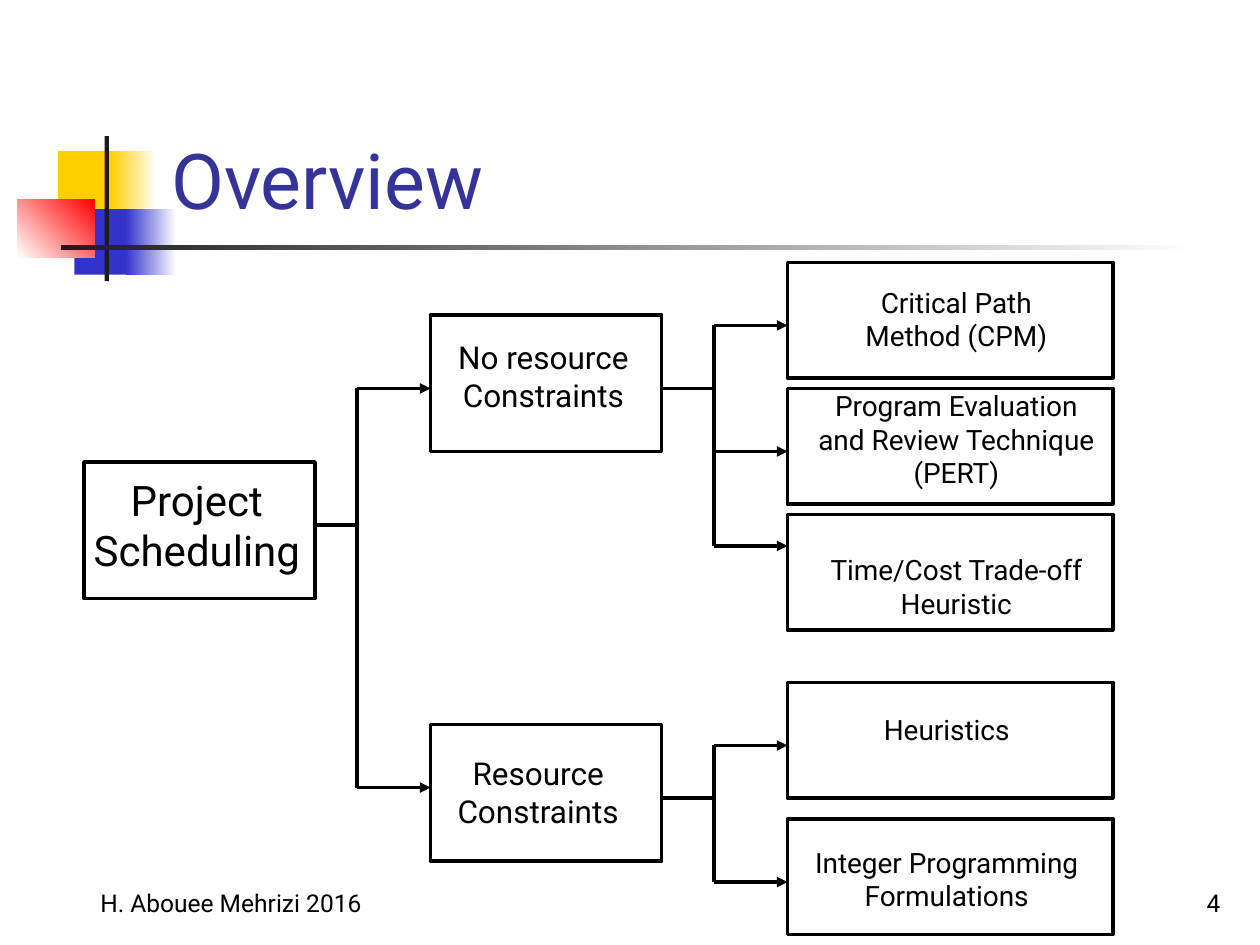
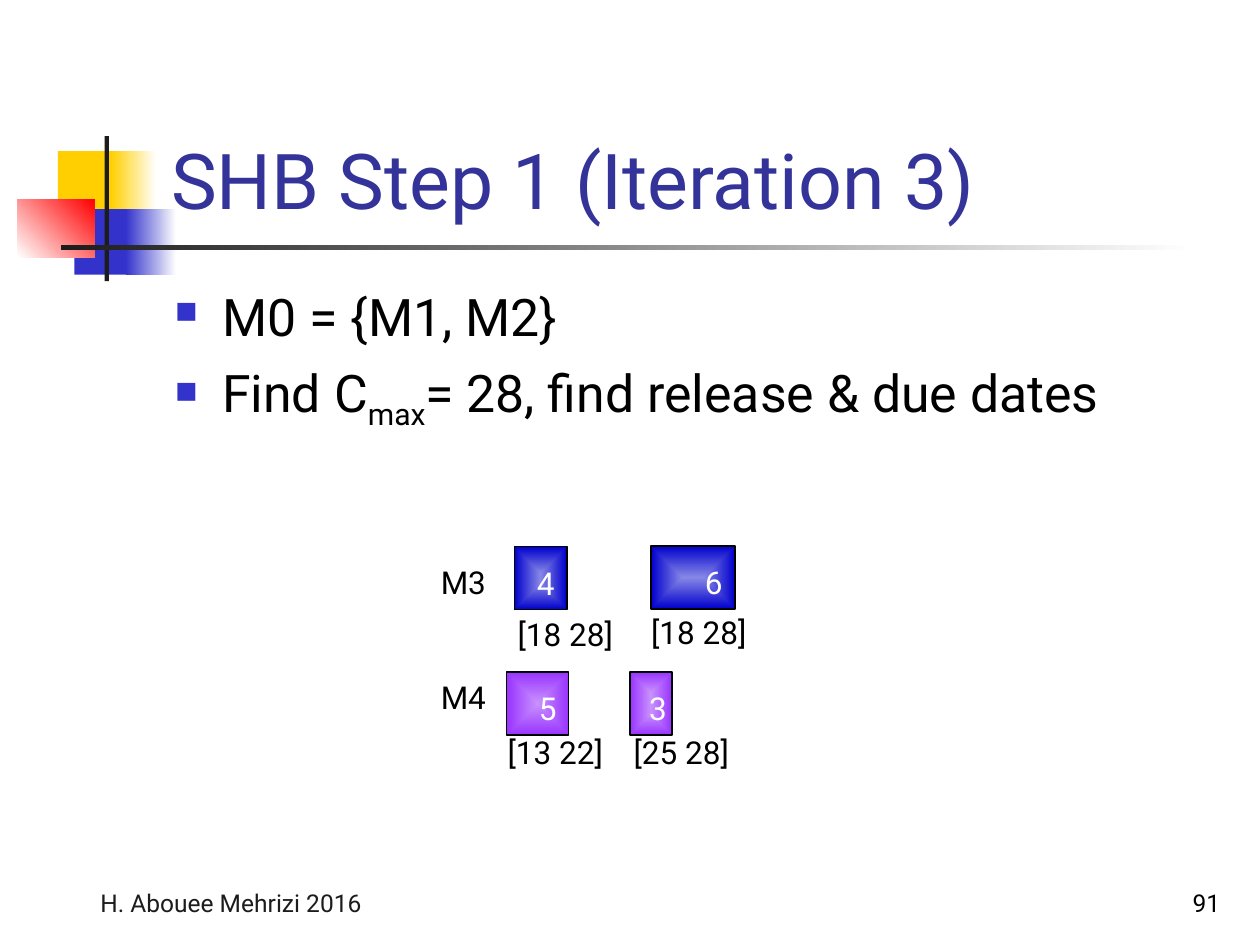
from dataclasses import dataclass

from lxml import etree
from pptx import Presentation
from pptx.dml.color import RGBColor
from pptx.enum.shapes import MSO_CONNECTOR, MSO_SHAPE
from pptx.enum.text import MSO_ANCHOR, PP_ALIGN
from pptx.oxml.ns import qn
from pptx.util import Pt

RECTANGLE = MSO_SHAPE.RECTANGLE
STRAIGHT = MSO_CONNECTOR.STRAIGHT
TOP, BOTTOM = MSO_ANCHOR.TOP, MSO_ANCHOR.BOTTOM
LEFT, CENTER, RIGHT = PP_ALIGN.LEFT, PP_ALIGN.CENTER, PP_ALIGN.RIGHT


@dataclass(frozen=True)
class Theme:
    """Hold the font, colours and type sizes of the deck."""

    font: str = "Roboto"
    ink: str = "000000"
    charcoal: str = "1C1C1C"
    white: str = "FFFFFF"
    title: str = "333399"
    yellow: str = "FFCF01"
    blue: str = "3333CC"
    red: str = "FF0000"
    machine_3: tuple = ("8787E7", "0000CC")
    machine_4: tuple = ("C891FF", "9933FF")
    title_size: float = 44
    body_size: float = 29.6
    root_size: float = 24
    label_size: float = 18
    leaf_size: float = 16
    footer_size: float = 14


THEME = Theme()


def add_child(parent, tag, **attributes):
    """Append a DrawingML element and return it."""
    child = etree.SubElement(parent, qn(tag))
    for name, value in attributes.items():
        child.set(name, str(value))
    return child


def add_span(para, text, size, color, baseline=0):
    """Add one formatted run."""
    span = para.add_run()
    span.text = text
    span.font.name = THEME.font
    span.font.size = Pt(size)
    span.font.color.rgb = RGBColor.from_string(color)
    if baseline:
        span.font._element.set("baseline", str(baseline))


def write_lines(frame, lines, size, color=THEME.ink, align=LEFT, anchor=TOP,
                insets=(7.2, 3.6, 7.2, 3.6)):
    """Fill a text frame with one paragraph for each line."""
    frame.word_wrap = True
    frame.vertical_anchor = anchor
    (frame.margin_left, frame.margin_top,
     frame.margin_right, frame.margin_bottom) = map(Pt, insets)
    for index, line in enumerate(lines):
        para = frame.add_paragraph() if index else frame.paragraphs[0]
        para.alignment = align
        add_span(para, line, size, color)


def add_label(page, bounds, text, size, **style):
    """Add a one-paragraph text box."""
    box = page.shapes.add_textbox(*map(Pt, bounds))
    write_lines(box.text_frame, [text], size, **style)


def add_box(page, bounds, line_width=0):
    """Add a rectangle with no fill and an optional black outline."""
    box = page.shapes.add_shape(RECTANGLE, *map(Pt, bounds))
    box.shadow.inherit = False
    box.fill.background()
    if line_width:
        box.line.width = Pt(line_width)
        box.line.color.rgb = RGBColor.from_string(THEME.ink)
    else:
        box.line.fill.background()
    return box


def fill_gradient(box, colors, angle=0):
    """Fill a box with a two-colour linear gradient."""
    box.fill.gradient()
    box.fill.gradient_angle = angle
    for stop, color in zip(box.fill.gradient_stops, colors):
        stop.color.rgb = RGBColor.from_string(color)


def fill_glow(box, colors):
    """Fill a box with a gradient that spreads from its centre."""
    fill_gradient(box, colors)
    gradient = box.element.spPr.find(qn("a:gradFill"))
    gradient.remove(gradient.find(qn("a:lin")))
    glow = add_child(gradient, "a:path", path="rect")
    add_child(glow, "a:fillToRect", l=50000, t=50000, r=50000, b=50000)


def add_backdrop(page):
    """Draw the coloured tiles and the two rules beside the title."""
    tiles = [
        ((33.1, 86.4, 34.6, 37.4), (THEME.yellow,), 0),
        ((63.4, 86.4, 25.9, 37.4), (THEME.yellow, THEME.white), 0),
        ((42.5, 119.5, 33.1, 37.4), (THEME.blue,), 0),
        ((72, 119.5, 28.8, 37.4), (THEME.blue, THEME.white), 0),
        ((10.1, 113.8, 43.9, 33.1), (THEME.white, THEME.red), 45),
        ((59.8, 77.8, 2.4, 82.8), (THEME.charcoal,), 0),
        ((34.6, 140.2, 648, 2.4), (THEME.charcoal, THEME.white), 0),
    ]
    for bounds, colors, angle in tiles:
        tile = add_box(page, bounds)
        if len(colors) == 2:
            fill_gradient(tile, colors, angle)
        else:
            tile.fill.solid()
            tile.fill.fore_color.rgb = RGBColor.from_string(colors[0])


def add_page(deck, title, number, footer_color):
    """Add a blank page with backdrop, footer, number and title."""
    page = deck.slides.add_slide(deck.slide_layouts[6])
    add_backdrop(page)
    add_label(page, (18, 492, 228, 36), "H. Abouee Mehrizi 2016",
              THEME.footer_size, color=footer_color, align=CENTER, anchor=BOTTOM)
    add_label(page, (554.4, 492, 150, 36), number,
              THEME.footer_size, align=RIGHT, anchor=BOTTOM)
    add_label(page, (90.7, 16.6, 613.4, 115.2), title,
              THEME.title_size, color=THEME.title, anchor=BOTTOM)
    return page


def add_node(page, bounds, lines, size, drop, shift=0):
    """Add an outlined node, its text lowered by drop and moved by shift."""
    node = add_box(page, bounds, 2)
    insets = (max(2 * shift, 0), drop, max(-2 * shift, 0), 0)
    write_lines(node.text_frame, lines, size, align=CENTER, insets=insets)


def add_link(page, start, end, arrow=False):
    """Draw a straight line, with an arrowhead at its end if asked."""
    link = page.shapes.add_connector(STRAIGHT, *map(Pt, (*start, *end)))
    link.line.width = Pt(2)
    link.line.color.rgb = RGBColor.from_string(THEME.ink)
    if arrow:
        add_child(link.line._get_or_add_ln(), "a:tailEnd", type="triangle")
    add_child(link.element.spPr, "a:effectLst")


def add_branch(page, start, spine, right, tips):
    """Join one node to several through a vertical spine."""
    add_link(page, start, (spine, start[1]))
    add_link(page, (spine, tips[0]), (spine, tips[-1]))
    for tip in tips:
        add_link(page, (spine, tip), (right, tip), arrow=True)


def add_bullets(page, bounds, items):
    """Add a bulleted list; each item is a list of (text, baseline) spans."""
    frame = page.shapes.add_textbox(*map(Pt, bounds)).text_frame
    frame.word_wrap = True
    for index, spans in enumerate(items):
        para = frame.add_paragraph() if index else frame.paragraphs[0]
        properties = para._p.get_or_add_pPr()
        properties.set("marL", str(Pt(27)))
        properties.set("indent", str(-Pt(27)))
        tint = add_child(properties, "a:buClr")
        add_child(tint, "a:srgbClr", val=THEME.blue)
        add_child(properties, "a:buSzPct", val=60000)
        add_child(properties, "a:buChar", char="■")
        if index:
            para.space_before = Pt(8)
        for text, baseline in spans:
            add_span(para, text, THEME.body_size, THEME.ink, baseline)


def add_job(page, bounds, colors, number, right_inset=7.2):
    """Add a glowing job block with its number near the right edge."""
    job = add_box(page, bounds, 0.75)
    fill_glow(job, colors)
    write_lines(job.text_frame, [number], THEME.label_size, color=THEME.white,
                align=RIGHT, insets=(0, 10, right_inset, 0))


def build_overview(deck):
    """Build the tree of project scheduling methods."""
    page = add_page(deck, "Overview", "4", THEME.ink)
    root_left, middle_left, leaf_left = 48, 246, 450
    width, height = 132, 78
    add_node(page, (root_left, 264, width, height), ["Project", "Scheduling"],
             THEME.root_size, 7, -1.5)
    middles = [
        (180, ["No resource", "Constraints"], 13, -1.5),
        (414, ["Resource", "Constraints"], 17, -4.5),
    ]
    for top, lines, drop, shift in middles:
        add_node(page, (middle_left, top, width, height), lines,
                 THEME.label_size, drop, shift)
    leaves = [
        (150, ["Critical Path", "Method (CPM)"], 13, 3.5),
        (222, ["Program Evaluation", "and Review Technique", "(PERT)"], 0, 3.5),
        (294, ["Time/Cost Trade-off Heuristic"], 22, 3.5),
        (390, ["Heuristics"], 17, -2),
        (468, ["Integer Programming", "Formulations"], 15, -2),
    ]
    for top, lines, drop, shift in leaves:
        add_node(page, (leaf_left, top, 186, 66), lines,
                 THEME.leaf_size, drop, shift)
    add_branch(page, (root_left + width, 300), 204, middle_left, [222, 450])
    middle_right = middle_left + width
    add_branch(page, (middle_right, 222), 408, leaf_left, [186, 258, 312])
    add_branch(page, (middle_right, 456), 408, leaf_left, [426, 504])


def build_iteration(deck):
    """Build the release and due date page of the third iteration."""
    page = add_page(deck, "SHB Step 1 (Iteration 3)", "91", THEME.charcoal)
    add_bullets(page, (92.9, 159.1, 612, 92.9), [
        [("M0 = {M1, M2}", 0)],
        [("Find C", 0), ("max", -25000), ("= 28, find release & due dates", 0)],
    ])
    jobs = [
        ((293.8, 312.5, 30.2, 36), THEME.machine_3, "4", 7.2),
        ((372, 312, 48, 36), THEME.machine_3, "6", 7.2),
        ((289.5, 384, 35.6, 36), THEME.machine_4, "5", 7.2),
        ((360, 384, 24, 36), THEME.machine_4, "3", 3),
    ]
    for job in jobs:
        add_job(page, *job)
    labels = [
        (244.8, 318.2, 44, "M3"),
        (288.7, 347.8, 72, "[18 28]"),
        (365, 347, 72, "[18 28]"),
        (244.8, 383.8, 44, "M4"),
        (283, 415.4, 72, "[13 22]"),
        (355, 415.4, 72, "[25 28]"),
    ]
    for left, top, width, text in labels:
        add_label(page, (left, top, width, 28.8), text, THEME.label_size)


def main():
    """Build and save the deck."""
    deck = Presentation()
    deck.slide_width, deck.slide_height = Pt(720), Pt(540)
    build_overview(deck)
    build_iteration(deck)
    deck.save("out.pptx")


if __name__ == "__main__":
    main()
